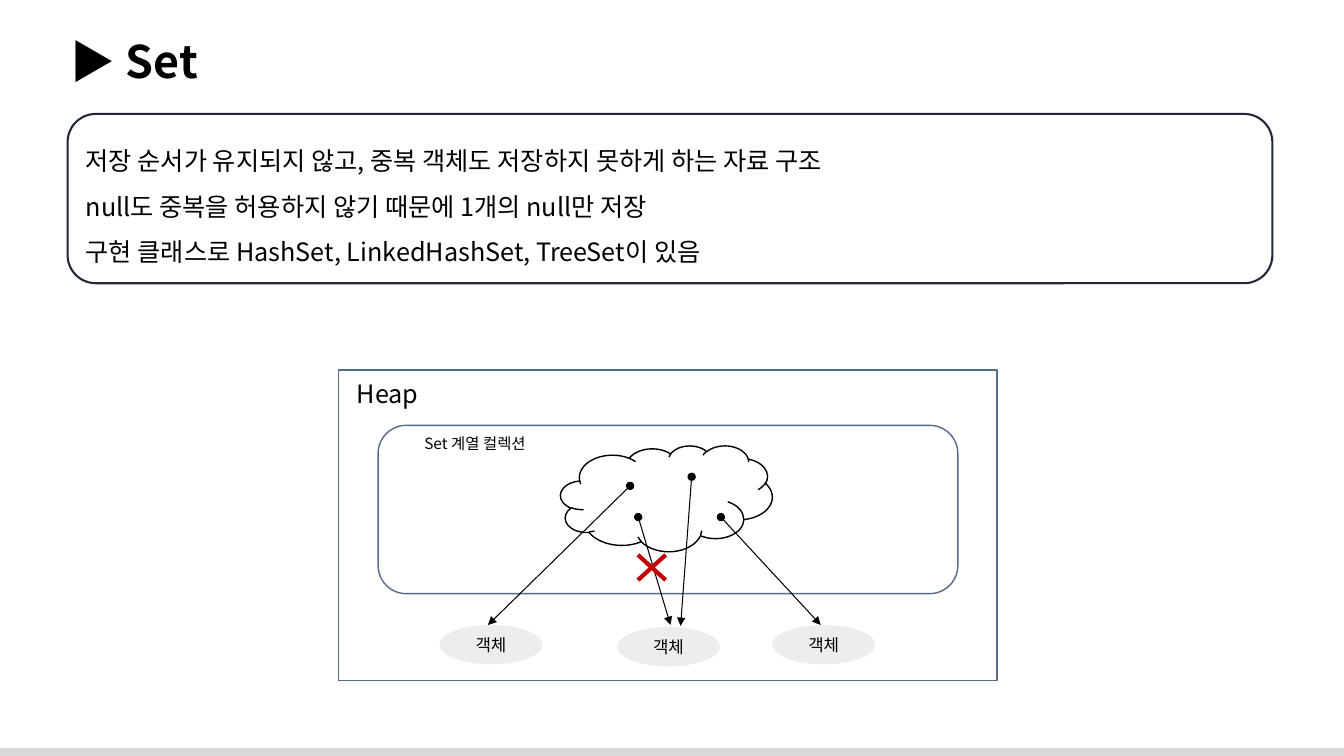
import pptx
import pptx.util
import pptx.dml.color
import pptx.enum.shapes
import pptx.enum.text
import pptx.oxml
import pptx.oxml.ns

Inches = pptx.util.Inches
Pt = pptx.util.Pt
Shape = pptx.enum.shapes.MSO_SHAPE
Align = pptx.enum.text.PP_ALIGN
Anchor = pptx.enum.text.MSO_ANCHOR
qn = pptx.oxml.ns.qn

# Content
FONT = "Noto Sans CJK KR"
BLACK, NAVY, SLATE = "000000", "222A35", "566B88"
TITLE = "▶ Set"
FEATURES = [
    "저장 순서가 유지되지 않고, 중복 객체도 저장하지 못하게 하는 자료 구조",
    "null도 중복을 허용하지 않기 때문에 1개의 null만 저장",
    "구현 클래스로 HashSet, LinkedHashSet, TreeSet이 있음",
]
FEATURE_BOX = (0.67, 1.13, 11.95, 1.68)
LABELS = [  # text, size, box
    ("Heap", 18, (3.44, 3.7, 1.14, 0.4)),
    ("Set 계열 컬렉션", 11, (4.11, 4.26, 2.82, 0.29)),
]
OBJECT_TEXT = "객체"
OBJECT_CORNERS = [(4.36, 6.2), (6.12, 6.22), (7.66, 6.2)]
REFERENCES = [  # start, end
    ((6.25, 4.82), (4.84, 6.2)),
    ((6.33, 5.13), (6.65, 6.2)),
    ((7.15, 5.13), (8.14, 6.2)),
    ((6.86, 4.73), (6.75, 6.21)),
]


def color(value):
    return pptx.dml.color.RGBColor.from_string(value)


def place(item, box):
    item.left, item.top, item.width, item.height = map(Inches, box)


def write(frame, lines, size, bold=False, align=Align.LEFT, anchor=Anchor.TOP, spacing=1.0):
    frame.text = "\n".join(lines)
    frame.word_wrap = True
    frame.auto_size = pptx.enum.text.MSO_AUTO_SIZE.NONE
    frame.vertical_anchor = anchor
    for para in frame.paragraphs:
        para.alignment = align
        para.line_spacing = spacing
        para.space_before = Pt(0)
        for span in para.runs:
            span.font.name = FONT
            span.font.size = Pt(size)
            span.font.bold = bold
            span.font.color.rgb = color(BLACK)
            latin = span.font._element.find(qn("a:latin"))
            east_asian = pptx.oxml.parse_xml(
                f'<a:ea {pptx.oxml.ns.nsdecls("a")} typeface="{FONT}"/>')
            latin.addnext(east_asian)


def add_figure(kind, box, fill=None, line=None, width=1.0):
    figure = page.shapes.add_shape(kind, *map(Inches, box))
    figure.shadow.inherit = False
    if fill:
        figure.fill.solid()
        figure.fill.fore_color.rgb = color(fill)
    else:
        figure.fill.background()
    if line:
        figure.line.color.rgb = color(line)
        figure.line.width = Pt(width)
    else:
        figure.line.fill.background()
    return figure


def add_reference(start, end):
    arrow = page.shapes.add_connector(
        pptx.enum.shapes.MSO_CONNECTOR.STRAIGHT, *map(Inches, start + end))
    arrow.line.color.rgb = color(BLACK)
    arrow.line.width = Pt(0.75)
    outline = arrow.line._get_or_add_ln()
    for tag, ending in (("a:headEnd", "oval"), ("a:tailEnd", "triangle")):
        outline.append(pptx.oxml.parse_xml(
            f'<{tag} {pptx.oxml.ns.nsdecls("a")} type="{ending}"/>'))
    arrow._element.spPr.append(pptx.oxml.parse_xml(
        f'<a:effectLst {pptx.oxml.ns.nsdecls("a")}/>'))


deck = pptx.Presentation()
deck.slide_width, deck.slide_height = Inches(13.33), Inches(7.5)
page = deck.slides.add_slide(deck.slide_layouts[1])

# Footer bar and title
add_figure(Shape.RECTANGLE, (0, 7.42, 13.33, 0.08), fill="D9D9D9")
title = page.shapes.title
place(title, (0.6, 0.28, 12.6, 0.64))
write(title.text_frame, [TITLE], 32, bold=True)

# Features of a Set in a rounded frame
add_figure(Shape.ROUNDED_RECTANGLE, FEATURE_BOX, line=NAVY, width=1.5)
body = page.placeholders[1]
corner_inset = 0.08
left, top, width, height = FEATURE_BOX
place(body, (left + corner_inset, top, width - 2 * corner_inset, height))
write(body.text_frame, FEATURES, 18, anchor=Anchor.MIDDLE, spacing=1.5)
for para in body.text_frame.paragraphs:
    properties = para._p.get_or_add_pPr()
    properties.set("marL", "0")
    properties.set("indent", "0")
    properties.append(pptx.oxml.parse_xml(f'<a:buNone {pptx.oxml.ns.nsdecls("a")}/>'))

# Heap and collection frames with their labels
add_figure(Shape.RECTANGLE, (3.36, 3.67, 6.53, 3.08), line=SLATE)
add_figure(Shape.ROUNDED_RECTANGLE, (3.75, 4.22, 5.75, 1.67), line=SLATE)
for text, size, box in LABELS:
    label = page.shapes.add_textbox(*map(Inches, box))
    write(label.text_frame, [text], size)

# Objects and the references to them
for corner in OBJECT_CORNERS:
    ellipse = add_figure(Shape.OVAL, corner + (1.02, 0.39), fill="EDEDED")
    write(ellipse.text_frame, [OBJECT_TEXT], 12, align=Align.CENTER, anchor=Anchor.MIDDLE)
for start, end in REFERENCES:
    add_reference(start, end)

# Unordered storage and the rejected duplicate
add_figure(Shape.CLOUD, (5.56, 4.42, 2.1, 1.05), line=BLACK)
cross = add_figure(Shape.MATH_MULTIPLY, (6.2, 5.39, 0.53, 0.48), fill="C00000")
cross.adjustments[0] = 0.086

deck.save("out.pptx")
